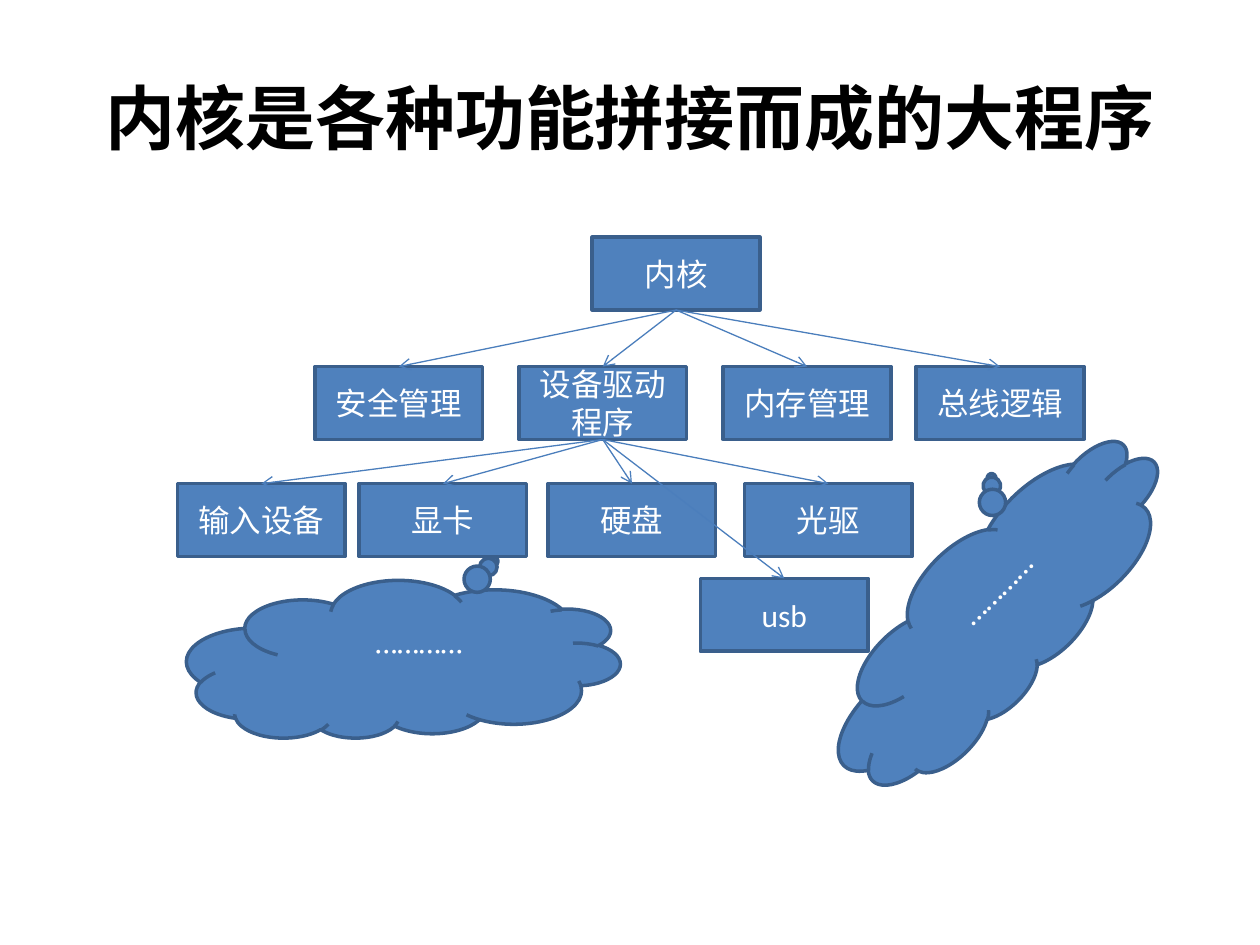
from typing import NamedTuple

import pptx
import pptx.util
import pptx.dml.color
import pptx.enum.shapes
import pptx.enum.text
import pptx.oxml.ns
from lxml import etree

Cm = pptx.util.Cm
Pt = pptx.util.Pt
RGBColor = pptx.dml.color.RGBColor
Kind = pptx.enum.shapes.MSO_SHAPE
Align = pptx.enum.text.PP_ALIGN
Anchor = pptx.enum.text.MSO_ANCHOR
qn = pptx.oxml.ns.qn

BLACK = RGBColor(0x00, 0x00, 0x00)
WHITE = RGBColor(0xFF, 0xFF, 0xFF)
FILL = RGBColor(0x4F, 0x81, 0xBD)
EDGE = RGBColor(0x3A, 0x5F, 0x8C)
ARROW = RGBColor(0x4B, 0x7E, 0xBC)
FONT = "Calibri"
BOX = (3.38, 1.47)
CLOUD = (8.74, 3.18)
TOP, MID, LOW, LAST = 4.78, 7.39, 9.75, 11.66
BOTTOM_SITE, TOP_SITE = 2, 0


class Node(NamedTuple):
    text: str
    left: float
    top: float
    size: tuple[float, float] = BOX
    kind: int = Kind.RECTANGLE
    turn: float = 0


ROOT = Node("内核", 11.94, TOP)
DRIVER = Node("设备驱动程序", 10.46, MID)
PARTS = [
    Node("安全管理", 6.35, MID),
    DRIVER,
    Node("内存管理", 14.58, MID),
    Node("总线逻辑", 18.47, MID),
]
UNITS = [
    Node("输入设备", 3.58, LOW),
    Node("显卡", 7.24, LOW),
    Node("硬盘", 11.05, LOW),
    Node("光驱", 15.01, LOW),
    Node("usb", 14.12, LAST),
]
CLOUDS = [
    Node("…………", 3.76, 11.71, CLOUD, Kind.CLOUD_CALLOUT, 180),
    Node("…………", 15.72, 10.74, CLOUD, Kind.CLOUD_CALLOUT, 135.3),
]


def style(frame, size: float, color: RGBColor, bold: bool = False) -> None:
    frame.word_wrap = True
    frame.vertical_anchor = Anchor.MIDDLE
    para = frame.paragraphs[0]
    para.alignment = Align.CENTER
    para.font.name = FONT
    para.font.size = Pt(size)
    para.font.bold = bold
    para.font.color.rgb = color


def draw(slide, node: Node):
    rect = [Cm(v) for v in (node.left, node.top, *node.size)]
    shape = slide.shapes.add_shape(node.kind, *rect)
    shape.rotation = node.turn
    shape.shadow.inherit = False
    shape.fill.solid()
    shape.fill.fore_color.rgb = FILL
    shape.line.color.rgb = EDGE
    shape.line.width = Pt(2)
    shape.text_frame.text = node.text
    style(shape.text_frame, 18, WHITE)
    return shape


def link(slide, start, end) -> None:
    line = slide.shapes.add_connector(
        pptx.enum.shapes.MSO_CONNECTOR.STRAIGHT, 0, 0, 0, 0
    )
    line.begin_connect(start, BOTTOM_SITE)
    line.end_connect(end, TOP_SITE)
    line.line.color.rgb = ARROW
    line.line.width = Pt(0.75)
    props = line._element.spPr
    etree.SubElement(props.find(qn("a:ln")), qn("a:tailEnd"), type="arrow")
    etree.SubElement(props, qn("a:effectLst"))


def main() -> None:
    deck = pptx.Presentation()
    deck.slide_width, deck.slide_height = Cm(25.4), Cm(19.05)
    slide = deck.slides.add_slide(deck.slide_layouts[5])

    title = slide.shapes.title
    title.left, title.top = Cm(1.27), Cm(0.76)
    title.width, title.height = Cm(22.86), Cm(3.18)
    title.text_frame.text = "内核是各种功能拼接而成的大程序"
    style(title.text_frame, 40, BLACK, True)

    boxes = {node: draw(slide, node) for node in [ROOT, *PARTS, *UNITS]}
    for head, group in ((ROOT, PARTS), (DRIVER, UNITS)):
        for node in group:
            link(slide, boxes[head], boxes[node])
    for cloud in CLOUDS:
        draw(slide, cloud)

    deck.save("out.pptx")


if __name__ == "__main__":
    main()
